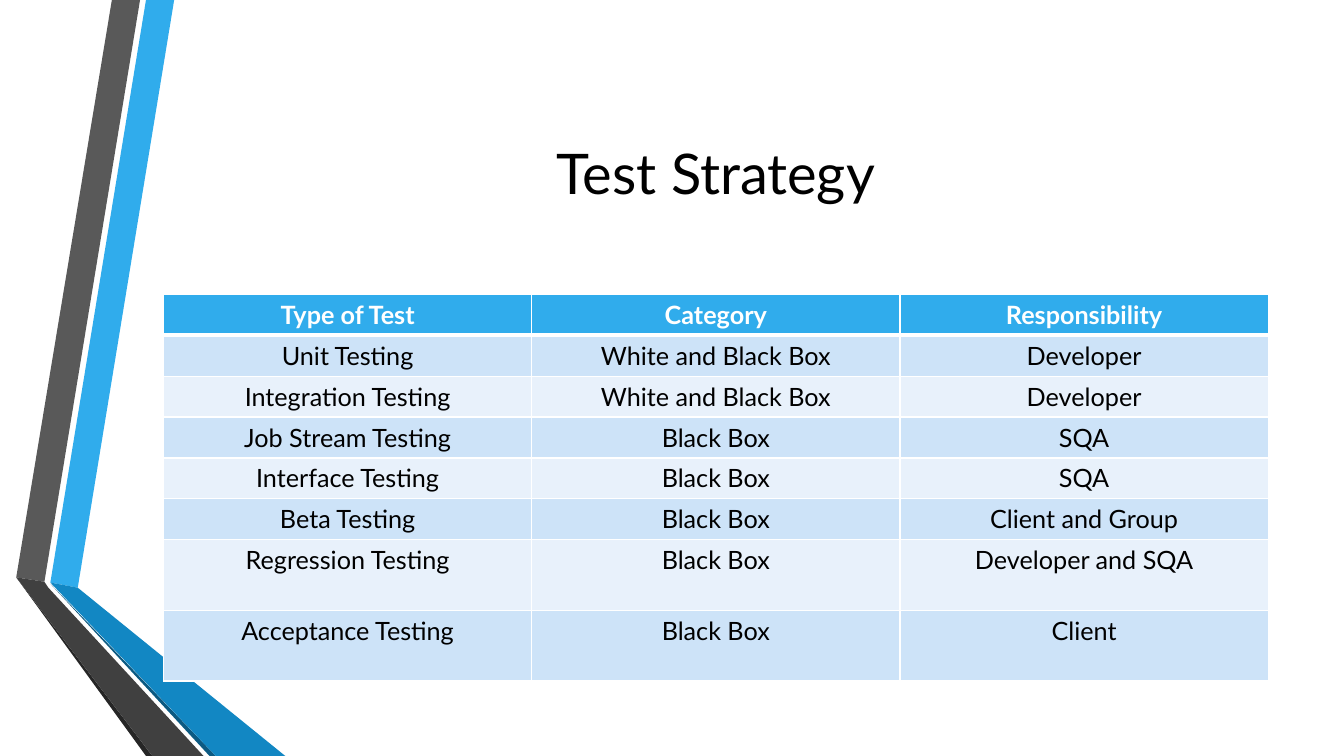
from dataclasses import dataclass

from lxml.etree import SubElement
from pptx import Presentation
from pptx.dml.color import RGBColor
from pptx.enum.text import MSO_ANCHOR as Anchor, PP_ALIGN as Align
from pptx.oxml.ns import qn
from pptx.slide import Slide
from pptx.table import _Cell as Cell
from pptx.text.text import TextFrame
from pptx.util import Cm, Pt


@dataclass(frozen=True)
class Theme:
    """Colours, font and type sizes of the slide."""
    font: str = "Lato"
    title_size: int = 40
    table_size: int = 18
    black: str = "000000"
    white: str = "FFFFFF"
    blue: str = "30ACEC"
    deep_blue: str = "1287C3"
    navy: str = "0C5A82"
    grey: str = "595959"
    dark_grey: str = "404040"
    charcoal: str = "262626"
    bands: tuple[str, str] = ("CDE3F8", "E8F1FB")


@dataclass(frozen=True)
class Ribbon:
    """A filled polygon with its corners in centimetres."""
    color: str
    corners: tuple[tuple[float, float], ...]


THEME = Theme()
WIDTH, HEIGHT = 33.87, 19.05
LEFT, CONTENT_WIDTH = 4.12, 27.84
TITLE_TOP, TITLE_HEIGHT = 1.9, 4.88
TABLE_TOP, ROW_HEIGHT, TALL_ROW_HEIGHT = 7.42, 1.03, 1.78
TALL_ROWS = 2
THIN, THICK = 1, 3

RIBBONS = (
    Ribbon(THEME.blue, ((1.27, 14.68), (1.96, 14.81), (4.39, 0), (3.68, 0))),
    Ribbon(THEME.grey, ((3.53, 0), (2.82, 0), (0.41, 14.55), (1.12, 14.66))),
    Ribbon(THEME.charcoal, ((0.41, 14.55), (3.68, HEIGHT), (3.84, HEIGHT))),
    Ribbon(THEME.navy, ((1.27, 14.71), (5.28, HEIGHT), (5.44, HEIGHT))),
    Ribbon(THEME.deep_blue,
           ((1.27, 14.68), (5.44, HEIGHT), (7.19, HEIGHT), (1.96, 14.81))),
    Ribbon(THEME.dark_grey,
           ((5.13, HEIGHT), (1.22, 14.81), (1.12, 14.66), (0.41, 14.55),
            (3.84, HEIGHT))),
)

TESTS = (
    ("Type of Test", "Category", "Responsibility"),
    ("Unit Testing", "White and Black Box", "Developer"),
    ("Integration Testing", "White and Black Box", "Developer"),
    ("Job Stream Testing", "Black Box", "SQA"),
    ("Interface Testing", "Black Box", "SQA"),
    ("Beta Testing", "Black Box", "Client and Group"),
    ("Regression Testing", "Black Box", "Developer and SQA"),
    ("Acceptance Testing", "Black Box", "Client"),
)


def write(frame: TextFrame, text: str, *, size: int,
          color: str = THEME.black, bold: bool = False) -> None:
    """Put one centred paragraph of formatted text in a frame."""
    para = frame.paragraphs[0]
    para.alignment = Align.CENTER
    span = para.add_run()
    span.text = text
    span.font.name = THEME.font
    span.font.size = Pt(size)
    span.font.bold = bold
    span.font.color.rgb = RGBColor.from_string(color)


def draw_ribbon(page: Slide, ribbon: Ribbon) -> None:
    """Draw one flat polygon without an outline."""
    start, *rest = [(Cm(x), Cm(y)) for x, y in ribbon.corners]
    builder = page.shapes.build_freeform(*start)
    builder.add_line_segments(rest, close=True)
    shape = builder.convert_to_shape()
    shape.shadow.inherit = False
    shape.fill.solid()
    shape.fill.fore_color.rgb = RGBColor.from_string(ribbon.color)
    shape.line.fill.background()


def draw_title(page: Slide, text: str) -> None:
    """Draw the title, centred above the table."""
    box = page.shapes.add_textbox(Cm(LEFT), Cm(TITLE_TOP),
                                  Cm(CONTENT_WIDTH), Cm(TITLE_HEIGHT))
    box.text_frame.word_wrap = True
    box.text_frame.vertical_anchor = Anchor.MIDDLE
    write(box.text_frame, text, size=THEME.title_size)


def set_borders(cell: Cell, top: int, bottom: int) -> None:
    """Give a cell white borders; call before its fill is set."""
    properties = cell._tc.get_or_add_tcPr()
    widths = {"a:lnL": THIN, "a:lnR": THIN, "a:lnT": top, "a:lnB": bottom}
    for tag, width in widths.items():
        line = SubElement(properties, qn(tag), w=str(Pt(width)))
        fill = SubElement(line, qn("a:solidFill"))
        SubElement(fill, qn("a:srgbClr"), val=THEME.white)


def draw_table(page: Slide, rows: tuple[tuple[str, ...], ...]) -> None:
    """Draw a banded table with a header row and taller last rows."""
    first_tall = len(rows) - TALL_ROWS
    heights = [ROW_HEIGHT] * first_tall + [TALL_ROW_HEIGHT] * TALL_ROWS
    table = page.shapes.add_table(
        len(rows), len(rows[0]), Cm(LEFT), Cm(TABLE_TOP),
        Cm(CONTENT_WIDTH), Cm(sum(heights))).table
    for column in table.columns:
        column.width = Cm(CONTENT_WIDTH / len(rows[0]))
    for r, (texts, height) in enumerate(zip(rows, heights)):
        header = r == 0
        table.rows[r].height = Cm(height)
        for c, text in enumerate(texts):
            cell = table.cell(r, c)
            set_borders(cell, top=THICK if r == 1 else THIN,
                        bottom=THICK if header else THIN)
            cell.fill.solid()
            cell.fill.fore_color.rgb = RGBColor.from_string(
                THEME.blue if header else THEME.bands[(r - 1) % 2])
            write(cell.text_frame, text, size=THEME.table_size, bold=header,
                  color=THEME.white if header else THEME.black)


def main() -> None:
    """Build the slide and save it."""
    deck = Presentation()
    deck.slide_width, deck.slide_height = Cm(WIDTH), Cm(HEIGHT)
    page = deck.slides.add_slide(deck.slide_layouts[6])
    for ribbon in RIBBONS:
        draw_ribbon(page, ribbon)
    draw_title(page, "Test Strategy")
    draw_table(page, TESTS)
    deck.save("out.pptx")


main()
